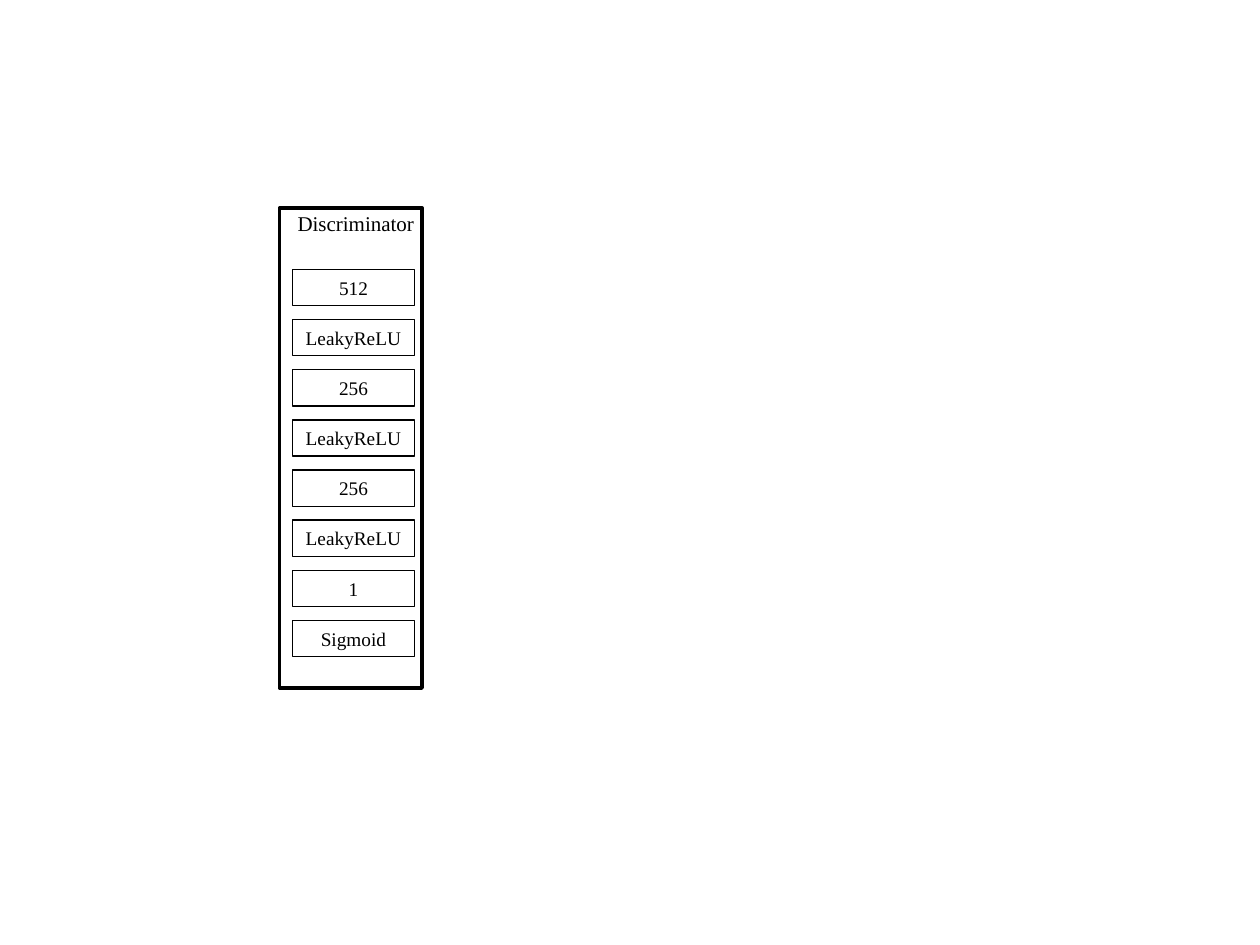
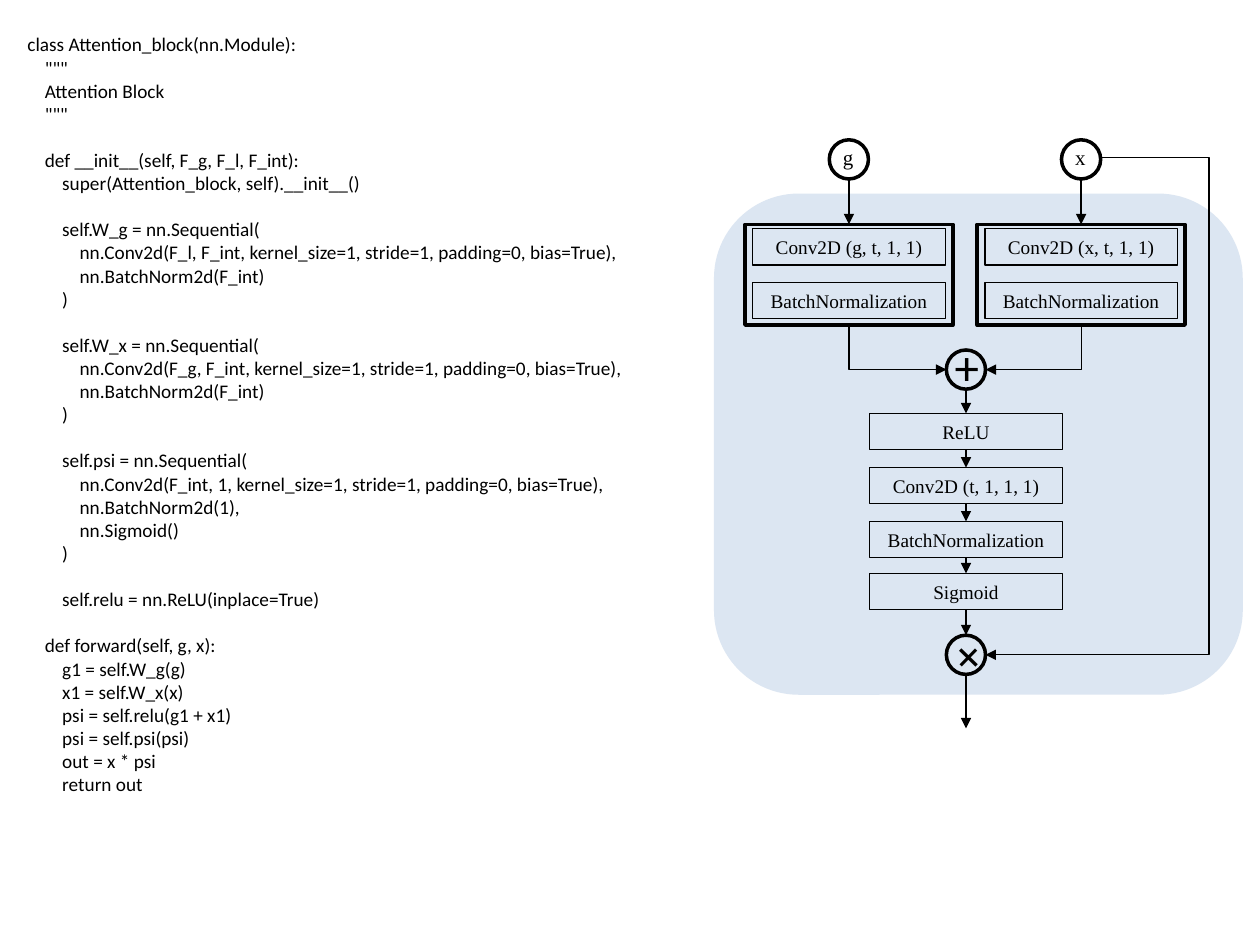
import itertools
from dataclasses import dataclass

import lxml.etree
import pptx
import pptx.dml.color
import pptx.enum.shapes
import pptx.enum.text
import pptx.oxml.ns
import pptx.util

Pt = pptx.util.Pt
qn = pptx.oxml.ns.qn
SHAPE = pptx.enum.shapes.MSO_SHAPE
CONNECTOR = pptx.enum.shapes.MSO_CONNECTOR
ALIGN = pptx.enum.text.PP_ALIGN

COLORS = {"ink": "000000", "panel": "DCE6F2"}
SERIF, SANS = "Times New Roman", "Calibri"
THIN, THICK = 0.75, 2
BLOCK_HEIGHT = 20.7
LAYER_WIDTH, OPERATION_WIDTH = 70, 110
CIRCLE = 22.4
INDENT_STEP = 9.95
CODE_LINE = 13.2

LAYERS = ["512", "LeakyReLU", "256", "LeakyReLU", "256", "LeakyReLU", "1", "Sigmoid"]


def convolution(inputs: str, outputs: str) -> str:
    return f"nn.Conv2d({inputs}, {outputs}, kernel_size=1, stride=1, padding=0, bias=True),"


CODE_SECTIONS = [
    [(0, "class Attention_block(nn.Module):"),
     (1, '"""'),
     (1, "Attention Block"),
     (1, '"""')],
    [(1, "def __init__(self, F_g, F_l, F_int):"),
     (2, "super(Attention_block, self).__init__()")],
    [(2, "self.W_g = nn.Sequential("),
     (3, convolution("F_l", "F_int")),
     (3, "nn.BatchNorm2d(F_int)"),
     (2, ")")],
    [(2, "self.W_x = nn.Sequential("),
     (3, convolution("F_g", "F_int")),
     (3, "nn.BatchNorm2d(F_int)"),
     (2, ")")],
    [(2, "self.psi = nn.Sequential("),
     (3, convolution("F_int", "1")),
     (3, "nn.BatchNorm2d(1),"),
     (3, "nn.Sigmoid()"),
     (2, ")")],
    [(2, "self.relu = nn.ReLU(inplace=True)")],
    [(1, "def forward(self, g, x):"),
     (2, "g1 = self.W_g(g)"),
     (2, "x1 = self.W_x(x)"),
     (2, "psi = self.relu(g1 + x1)"),
     (2, "psi = self.psi(psi)"),
     (2, "out = x * psi"),
     (2, "return out")],
]


@dataclass(frozen=True)
class Box:
    left: float
    top: float
    width: float
    height: float

    def lengths(self) -> list:
        return [Pt(v) for v in (self.left, self.top, self.width, self.height)]


@dataclass(frozen=True)
class Block:
    label: str
    center: float
    top: float
    width: float = OPERATION_WIDTH
    wrap: bool = True


@dataclass(frozen=True)
class Branch:
    symbol: str
    center: float


BRANCHES = [Branch("g", 485.1), Branch("x", 617.8)]
TRUNK = 552
OPERATIONS = [
    Block("ReLU", TRUNK, 236.2),
    Block("Conv2D (t, 1, 1, 1)", TRUNK, 267.2),
    Block("BatchNormalization", TRUNK, 298),
    Block("Sigmoid", TRUNK, 327.6),
]


def color(key: str):
    return pptx.dml.color.RGBColor.from_string(COLORS[key])


def add_run(paragraph, text: str, size: float, font: str) -> None:
    run = paragraph.add_run()
    run.text = text
    run.font.size = Pt(size)
    run.font.name = font
    run.font.color.rgb = color("ink")


def fit_frame(frame, wrap: bool) -> None:
    frame.word_wrap = wrap
    frame.auto_size = pptx.enum.text.MSO_AUTO_SIZE.SHAPE_TO_FIT_TEXT


def draw_shape(slide, preset, box: Box, line: str = "ink", width: float = THICK, fill: str = ""):
    shape = slide.shapes.add_shape(preset, *box.lengths())
    shape.shadow.inherit = False
    if fill:
        shape.fill.solid()
        shape.fill.fore_color.rgb = color(fill)
    else:
        shape.fill.background()
    shape.line.color.rgb = color(line)
    shape.line.width = Pt(width)
    return shape


def draw_block(slide, block: Block) -> None:
    box = Box(block.center - block.width / 2, block.top, block.width, BLOCK_HEIGHT)
    frame = draw_shape(slide, SHAPE.RECTANGLE, box, width=THIN).text_frame
    fit_frame(frame, block.wrap)
    frame.paragraphs[0].alignment = ALIGN.CENTER
    add_run(frame.paragraphs[0], block.label, 11, SERIF)


def draw_label(slide, text: str, box: Box, size: float, font: str,
               wrap: bool = False, align=ALIGN.LEFT, rotation: float = 0) -> None:
    label = slide.shapes.add_textbox(*box.lengths())
    label.rotation = rotation
    fit_frame(label.text_frame, wrap)
    label.text_frame.paragraphs[0].alignment = align
    add_run(label.text_frame.paragraphs[0], text, size, font)


def draw_circle(slide, center: float, top: float) -> None:
    draw_shape(slide, SHAPE.OVAL, Box(center - CIRCLE / 2, top, CIRCLE, CIRCLE))


def draw_arrow(slide, x1: float, y1: float, x2: float, y2: float, kind=CONNECTOR.STRAIGHT):
    arrow = slide.shapes.add_connector(kind, Pt(x1), Pt(y1), Pt(x2), Pt(y2))
    arrow.line.color.rgb = color("ink")
    arrow.line.width = Pt(THIN)
    properties = arrow._element.spPr
    lxml.etree.SubElement(properties.find(qn("a:ln")), qn("a:tailEnd"), type="triangle")
    lxml.etree.SubElement(properties, qn("a:effectLst"))
    return arrow


def draw_corner_arrow(slide, x1: float, y1: float, x2: float, y2: float) -> None:
    mid_x, mid_y = (x1 + x2) / 2, (y1 + y2) / 2
    half_width, half_height = abs(y2 - y1) / 2, abs(x2 - x1) / 2
    arrow = draw_arrow(slide, mid_x - half_width, mid_y - half_height,
                       mid_x + half_width, mid_y + half_height, CONNECTOR.ELBOW)
    properties = arrow._element.spPr
    properties.find(qn("a:prstGeom")).set("prst", "bentConnector2")
    turn = properties.find(qn("a:xfrm"))
    if x2 > x1:
        turn.set("rot", str(270 * 60000))
        turn.set("flipH", "1")
    else:
        turn.set("rot", str(90 * 60000))


def draw_skip_arrow(slide, x1: float, y1: float, x2: float, y2: float, bend: int) -> None:
    arrow = draw_arrow(slide, x1, y1, x2, y2, CONNECTOR.ELBOW)
    geometry = arrow._element.spPr.find(qn("a:prstGeom"))
    guides = geometry.find(qn("a:avLst"))
    if guides is None:
        guides = lxml.etree.SubElement(geometry, qn("a:avLst"))
    lxml.etree.SubElement(guides, qn("a:gd"), name="adj1", fmla=f"val {bend}")


def draw_code(slide, box: Box) -> None:
    frame = slide.shapes.add_textbox(*box.lengths()).text_frame
    fit_frame(frame, True)
    paragraph = frame.paragraphs[0]
    for section_number, section in enumerate(CODE_SECTIONS):
        for line_number, (level, statement) in enumerate(section):
            if section_number or line_number:
                paragraph = frame.add_paragraph()
            paragraph._p.get_or_add_pPr().set("marL", str(Pt(level * INDENT_STEP)))
            if section_number and not line_number:
                paragraph.space_before = Pt(CODE_LINE)
            add_run(paragraph, statement, 11, SANS)


def build_discriminator(slide) -> None:
    for row, layer in enumerate(LAYERS):
        draw_block(slide, Block(layer, 202, 154 + 28.65 * row, LAYER_WIDTH, layer != "LeakyReLU"))
    draw_shape(slide, SHAPE.RECTANGLE, Box(159.8, 118.8, 81.4, 274.4))
    draw_label(slide, "Discriminator", Box(156.2, 116.6, 94.3, 21.8), 12, SERIF, True, ALIGN.CENTER)


def build_attention(slide) -> None:
    input_top, frame_top, frame_height, sum_top, product_top = 79.9, 128.2, 57.6, 200, 363
    sum_middle, product_middle = sum_top + CIRCLE / 2, product_top + CIRCLE / 2

    draw_shape(slide, SHAPE.ROUNDED_RECTANGLE, Box(409, 111.6, 300.2, 284.4), "panel", fill="panel")
    draw_code(slide, Box(8.6, 15.1, 360, 447))

    for branch in BRANCHES:
        center = branch.center
        draw_block(slide, Block(f"Conv2D ({branch.symbol}, t, 1, 1)", center, 130.8))
        draw_block(slide, Block("BatchNormalization", center, 161.3))
        draw_arrow(slide, center, input_top + CIRCLE, center, frame_top)
        draw_circle(slide, center, input_top)
        draw_label(slide, branch.symbol, Box(center - 10.5, 79.2, 21, 21.8), 12, SERIF)
        draw_shape(slide, SHAPE.RECTANGLE, Box(center - 59.4, frame_top, 118.8, frame_height))
        side = -1 if center < TRUNK else 1
        draw_corner_arrow(slide, center, frame_top + frame_height,
                          TRUNK + side * CIRCLE / 2, sum_middle)

    for operation in OPERATIONS:
        draw_block(slide, operation)
    draw_circle(slide, TRUNK, sum_top)
    draw_label(slide, "+", Box(538.4, 188.6, 28.8, 41), 28, SANS)
    draw_circle(slide, TRUNK, product_top)
    draw_label(slide, "+", Box(537.8, 353.5, 28.8, 41), 28, SANS, True, rotation=314.2)
    draw_skip_arrow(slide, BRANCHES[-1].center + CIRCLE / 2, 90,
                    TRUNK + CIRCLE / 2, product_middle, -94100)

    spans = [(sum_top, sum_top + CIRCLE)]
    spans += [(operation.top, operation.top + BLOCK_HEIGHT) for operation in OPERATIONS]
    spans += [(product_top, product_top + CIRCLE), (416.2, 416.2)]
    for (_, start), (end, _) in itertools.pairwise(spans):
        draw_arrow(slide, TRUNK, start, TRUNK, end)


def main() -> None:
    presentation = pptx.Presentation()
    presentation.slide_width, presentation.slide_height = Pt(720), Pt(540)
    blank = presentation.slide_layouts[6]
    for build in (build_discriminator, build_attention):
        build(presentation.slides.add_slide(blank))
    presentation.save("out.pptx")


if __name__ == "__main__":
    main()
